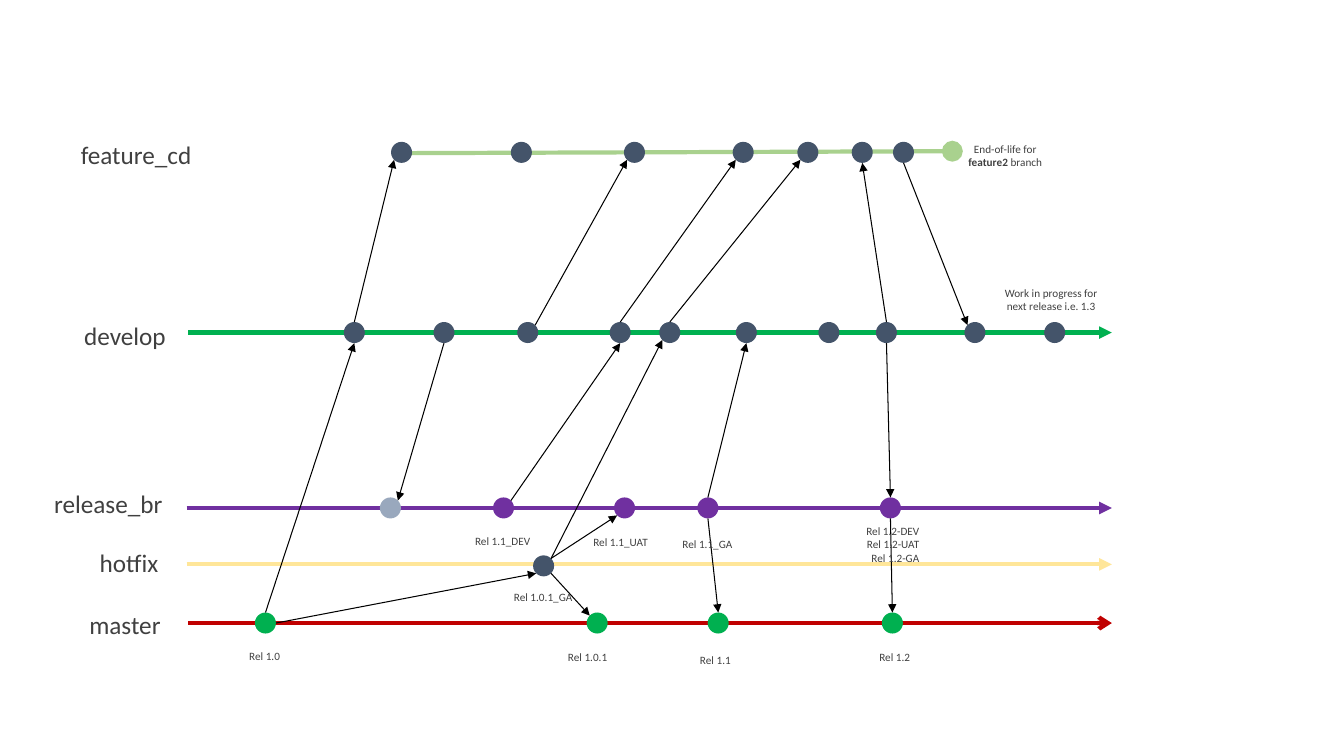
from math import cos, radians, sin

from lxml.etree import SubElement
from pptx import Presentation
from pptx.dml.color import RGBColor
from pptx.enum.shapes import MSO_CONNECTOR, MSO_SHAPE
from pptx.enum.text import PP_ALIGN
from pptx.oxml.ns import qn
from pptx.util import Cm, Pt

FONT = "Calibri"
TEXT = RGBColor(0x40, 0x40, 0x40)
BLACK = RGBColor(0, 0, 0)
SLATE = RGBColor(0x44, 0x54, 0x6A)
MIST = RGBColor(0x99, 0xA8, 0xBD)
GREEN = RGBColor(0x00, 0xB0, 0x50)
LIGHT_GREEN = RGBColor(0xA9, 0xD1, 0x8E)
PURPLE = RGBColor(0x70, 0x30, 0xA0)
YELLOW = RGBColor(0xFF, 0xE6, 0x99)
RED = RGBColor(0xC0, 0x00, 0x00)

DIAMETER = 0.53
LANE_END = 28.02
SITES = ["top", "top left", "left", "bottom left",
         "bottom", "bottom right", "right", "top right"]

# name: line start, line end, line colour, line ending, ending size
LANES = [
    ((9.93, 3.86), (24.0, 3.81), LIGHT_GREEN, "oval", "lg"),
    ((4.75, 8.38), (LANE_END, 8.38), GREEN, "triangle", "med"),
    ((4.7, 12.8), (LANE_END, 12.8), PURPLE, "triangle", "med"),
    ((4.7, 14.22), (LANE_END, 14.22), YELLOW, "triangle", "med"),
    ((4.75, 15.7), (LANE_END, 15.7), RED, "arrow", "med"),
]
COMMITS = {
    "feature": (3.84, SLATE, [10.12, 13.14, 15.99, 18.73, 20.36, 21.73, 22.77]),
    "develop": (8.38, SLATE, [8.93, 11.19, 13.3, 15.63, 16.88,
                              18.81, 20.89, 22.34, 24.57, 26.58]),
    "release": (12.8, PURPLE, [9.84, 12.69, 15.74, 17.84, 22.44]),
    "hotfix": (14.26, SLATE, [13.7]),
    "master": (15.7, GREEN, [6.69, 15.05, 18.1, 22.49]),
}
MERGES = [
    ("master", 0, "top", "develop", 0, "bottom"),
    ("develop", 0, "top", "feature", 0, "bottom left"),
    ("develop", 1, "bottom", "release", 0, "top right"),
    ("develop", 2, "top right", "feature", 2, "bottom left"),
    ("release", 1, "top right", "develop", 3, "bottom"),
    ("develop", 3, "top", "feature", 3, "bottom left"),
    ("master", 0, "right", "hotfix", 0, "bottom left"),
    ("hotfix", 0, "top right", "develop", 4, "bottom left"),
    ("hotfix", 0, "top right", "release", 2, "bottom left"),
    ("hotfix", 0, "bottom right", "master", 1, "top left"),
    ("develop", 4, "top", "feature", 4, "bottom left"),
    ("release", 3, "bottom", "master", 2, "top"),
    ("release", 3, "top", "develop", 5, "bottom"),
    ("develop", 7, "bottom", "release", 4, "top"),
    ("release", 4, "bottom", "master", 3, "top"),
    ("feature", 6, "bottom", "develop", 8, "top left"),
    ("develop", 7, "top", "feature", 5, "bottom"),
]
BRANCH_NAMES = [
    ("feature_cd", 1.5, 3.38, 3.86),
    ("develop", 1.78, 7.95, 2.74),
    ("release_br", 0.84, 12.19, 3.78),
    ("hotfix", 1.88, 13.67, 2.74),
    ("master", 1.78, 15.24, 2.74),
]
RELEASES = [
    ("Rel 1.0", 5.97, 16.23, 1.4),
    ("Rel 1.1_DEV", 11.63, 13.34, 2.08),
    ("Rel 1.0.1_GA", 12.65, 14.76, 2.08),
    ("Rel 1.1_GA", 16.79, 13.41, 2.08),
    ("Rel 1.1_UAT", 14.61, 13.36, 2.06),
    ("Rel 1.1", 17.32, 16.33, 1.42),
    ("Rel 1.0.1", 13.77, 16.26, 2.08),
    ("Rel 1.2", 21.84, 16.26, 1.42),
]


def add_line(slide, start, end, color, width, ending, size="med"):
    """Draw a straight line, lengths in cm, with the given line ending."""
    line = slide.shapes.add_connector(
        MSO_CONNECTOR.STRAIGHT, *(Cm(length) for length in (*start, *end)))
    line.line.color.rgb = color
    line.line.width = Pt(width)
    properties = line._element.spPr
    SubElement(properties.find(qn("a:ln")), qn("a:tailEnd"),
               type=ending, w=size, len=size)
    SubElement(properties, qn("a:effectLst"))
    return line


def add_commit(slide, x, y, color):
    """Draw a commit dot centred on x, y."""
    commit = slide.shapes.add_shape(
        MSO_SHAPE.OVAL, Cm(x - DIAMETER / 2), Cm(y - DIAMETER / 2),
        Cm(DIAMETER), Cm(DIAMETER))
    commit.shadow.inherit = False
    commit.fill.solid()
    commit.fill.fore_color.rgb = color
    commit.line.fill.background()
    return commit


def site_point(commit, site):
    """Return the place in cm of a named site on a commit's rim."""
    angle = radians(45 * SITES.index(site))
    radius = DIAMETER / 2
    return (commit.left.cm + radius - radius * sin(angle),
            commit.top.cm + radius - radius * cos(angle))


def add_merge(slide, source, source_site, target, target_site):
    """Draw an arrow attached to two commits."""
    arrow = add_line(slide, site_point(source, source_site),
                     site_point(target, target_site), BLACK, 0.75, "triangle")
    links = arrow._element.find(".//" + qn("p:cNvCxnSpPr"))
    for tag, commit, site in (("a:stCxn", source, source_site),
                              ("a:endCxn", target, target_site)):
        SubElement(links, qn(tag), id=str(commit.shape_id),
                   idx=str(SITES.index(site)))


def add_label(slide, text, left, top, width, height=0.61, size=8,
              align=PP_ALIGN.CENTER, bold_word=None):
    """Write a wrapped label, with one word in bold if asked."""
    frame = slide.shapes.add_textbox(
        Cm(left), Cm(top), Cm(width), Cm(height)).text_frame
    frame.word_wrap = True
    if bold_word:
        before, after = text.split(bold_word)
        for part in (before, bold_word, after):
            run = frame.paragraphs[0].add_run()
            run.text = part
            run.font.bold = part == bold_word
    else:
        frame.text = text
    for paragraph in frame.paragraphs:
        paragraph.alignment = align
        for run in paragraph.runs:
            run.font.name = FONT
            run.font.size = Pt(size)
            run.font.color.rgb = TEXT


def main():
    """Build the branching diagram and save it."""
    deck = Presentation()
    deck.slide_width, deck.slide_height = Cm(33.87), Cm(19.05)
    slide = deck.slides.add_slide(deck.slide_layouts[6])

    for start, end, color, ending, size in LANES:
        add_line(slide, start, end, color, 3, ending, size)
    commits = {branch: [add_commit(slide, x, y, color) for x in centres]
               for branch, (y, color, centres) in COMMITS.items()}
    commits["release"][0].fill.fore_color.rgb = MIST
    for source, first, source_site, target, second, target_site in MERGES:
        add_merge(slide, commits[source][first], source_site,
                  commits[target][second], target_site)

    for name, left, top, width in BRANCH_NAMES:
        add_label(slide, name, left, top, width, height=1.02, size=18)
    for release, left, top, width in RELEASES:
        add_label(slide, release, left, top, width)
    add_label(slide, "Rel 1.2-DEV\nRel 1.2-UAT\nRel 1.2-GA",
              20.93, 13.08, 2.49, 1.27, align=PP_ALIGN.RIGHT)
    add_label(slide, "Work in progress for next release i.e. 1.3",
              24.94, 7.09, 3.1, 0.94)
    add_label(slide, "End-of-life for feature2 branch",
              24, 3.45, 2.67, 0.94, bold_word="feature2")
    deck.save("out.pptx")


main()
